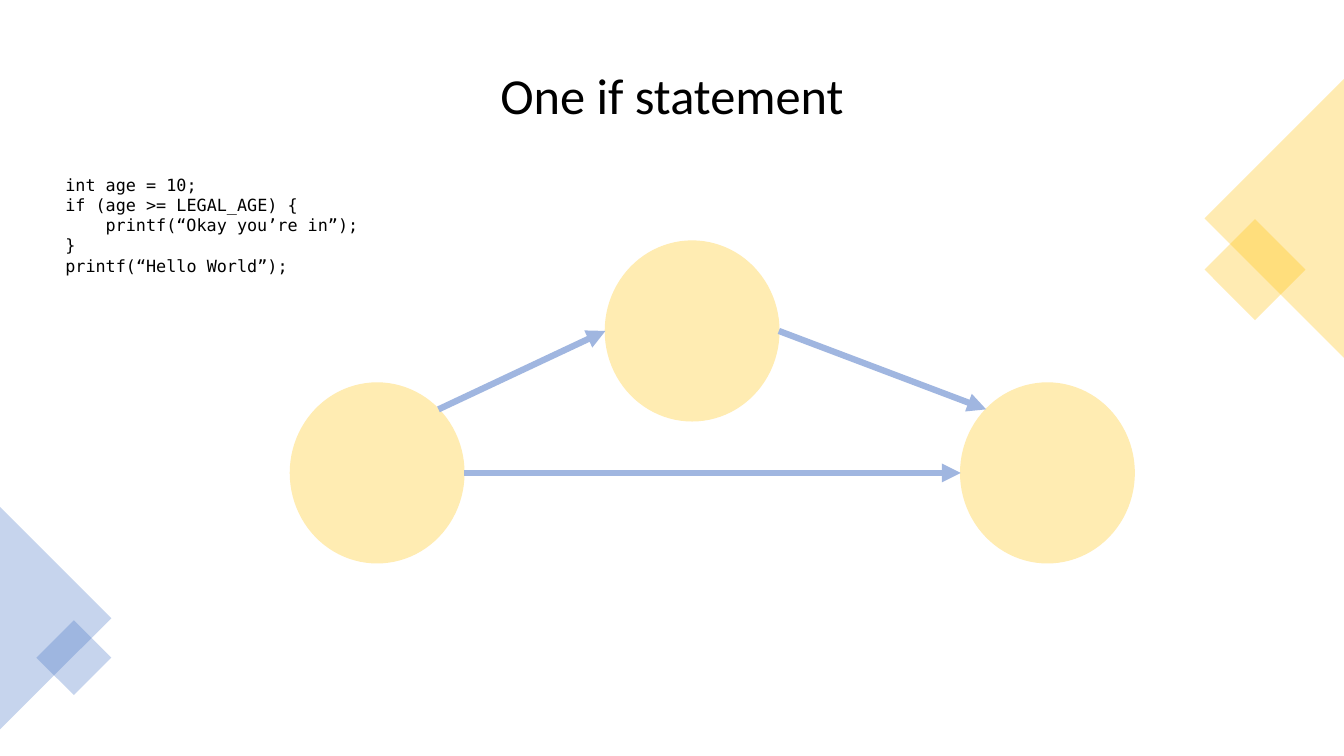
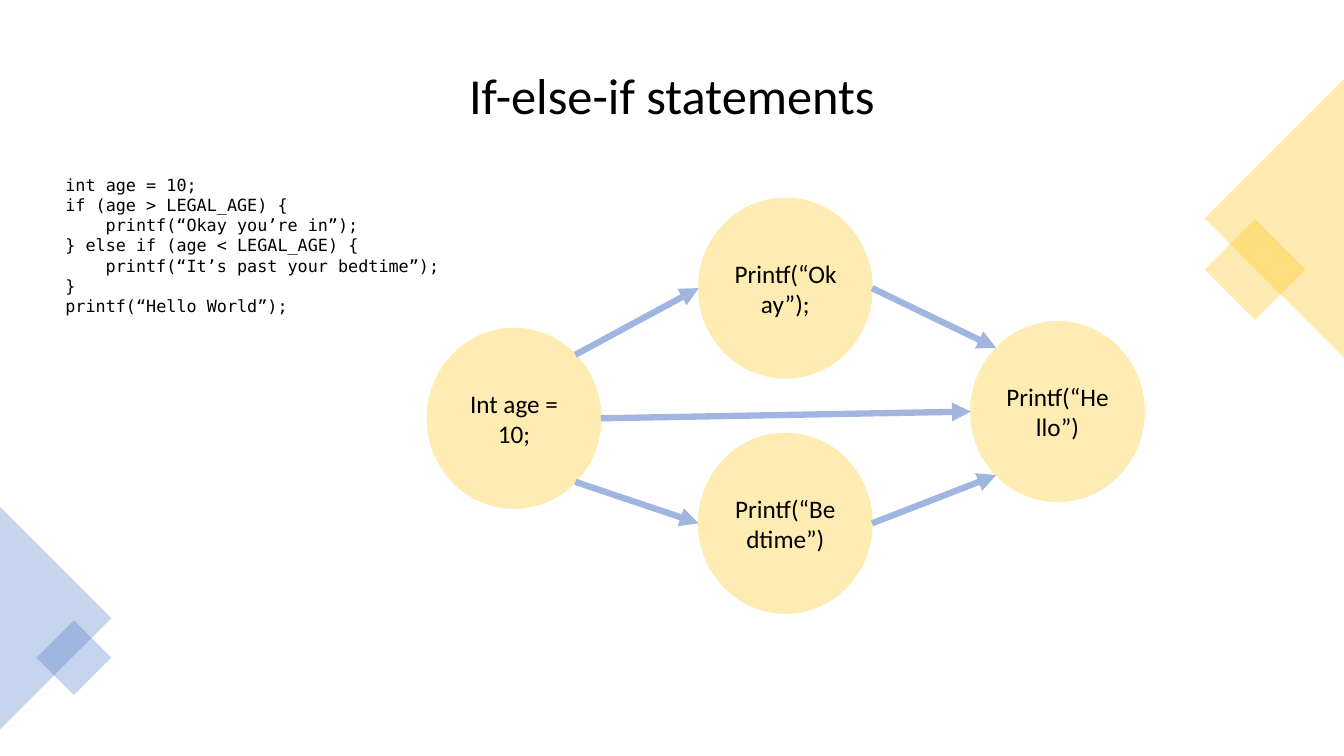
from dataclasses import dataclass
from enum import Enum
from math import cos, radians, sin, sqrt

from lxml.etree import SubElement as Sub
from pptx import Presentation
from pptx.dml.color import RGBColor as Rgb
from pptx.enum.shapes import MSO_CONNECTOR as Link, MSO_SHAPE as Form
from pptx.enum.text import MSO_ANCHOR as Anchor, MSO_AUTO_SIZE as Fit, PP_ALIGN as Align
from pptx.oxml.ns import qn
from pptx.shapes.autoshape import Shape
from pptx.slide import Slide
from pptx.text.text import _Paragraph as Para
from pptx.util import Inches, Pt

COLS, ROWS = 160, 90
WIDE, HIGH = Inches(13.33), Inches(7.5)


def col(n: float) -> int:
    return round(WIDE * n / COLS)


def row(n: float) -> int:
    return round(HIGH * n / ROWS)


@dataclass(frozen=True)
class Theme:
    ink: Rgb = Rgb(0, 0, 0)
    gold: Rgb = Rgb(0xFF, 0xC0, 0x00)
    blue: Rgb = Rgb(0x44, 0x72, 0xC4)
    node: Rgb = Rgb(0xFF, 0xEC, 0xB2)
    edge: Rgb = Rgb(0xA0, 0xB6, 0xE0)
    alpha: int = 30
    sans: str = "Calibri"
    mono: str = "DejaVu Sans Mono"
    head: float = 36
    text: float = 18
    code: float = 12
    rim: float = 1
    bar: float = 4.5
    tab: float = 0.4


class Site(Enum):
    EAST = 0
    SOUTH_EAST = 45
    SOUTH_WEST = 135
    WEST = 180
    NORTH_WEST = 225
    NORTH_EAST = 315


@dataclass(frozen=True)
class Node:
    x: float
    y: float
    text: str = ""
    wide: float = 20.65
    high: float = 21.4

    def point(self, site: Site) -> tuple[int, int]:
        turn = radians(site.value)
        return (col(self.x + self.wide / 2 * cos(turn)),
                row(self.y + self.high / 2 * sin(turn)))


@dataclass(frozen=True)
class Edge:
    start: str
    leave: Site
    end: str
    enter: Site


@dataclass(frozen=True)
class Corner:
    right: bool
    color: Rgb
    mid: float
    span: float
    size: float
    low: float


@dataclass(frozen=True)
class Page:
    title: str
    code: tuple[str, ...]
    wide: float
    nodes: dict[str, Node]
    edges: tuple[Edge, ...]


THEME = Theme()
CORNERS = (
    Corner(True, THEME.gold, 26, 33.2, 8.5, 32.1),
    Corner(False, THEME.blue, 73.6, 26.5, 6.3, 78.3),
)
PAGES = (
    Page(
        "One if statement",
        ("int age = 10;",
         "if (age >= LEGAL_AGE) {",
         "\tprintf(“Okay you’re in”);",
         "}",
         "printf(“Hello World”);"),
        50.8,
        {"age": Node(44.9, 56.3),
         "okay": Node(82.4, 39.4),
         "hello": Node(124.7, 56.3)},
        (Edge("age", Site.NORTH_EAST, "okay", Site.WEST),
         Edge("age", Site.EAST, "hello", Site.WEST),
         Edge("okay", Site.EAST, "hello", Site.NORTH_WEST)),
    ),
    Page(
        "If-else-if statements",
        ("int age = 10;",
         "if (age > LEGAL_AGE) {",
         "\tprintf(“Okay you’re in”);",
         "} else if (age < LEGAL_AGE) {",
         "\tprintf(“It’s past your bedtime”);",
         "}",
         "printf(“Hello World”);"),
        66.7,
        {"age": Node(61.2, 49.8, "Int age = 10;"),
         "okay": Node(93.5, 34.3, "Printf(“Okay”);"),
         "hello": Node(125.9, 49, "Printf(“Hello”)"),
         "bed": Node(93.5, 62.3, "Printf(“Bedtime”)")},
        (Edge("age", Site.NORTH_EAST, "okay", Site.WEST),
         Edge("okay", Site.EAST, "hello", Site.NORTH_WEST),
         Edge("age", Site.SOUTH_EAST, "bed", Site.WEST),
         Edge("bed", Site.EAST, "hello", Site.SOUTH_WEST),
         Edge("age", Site.EAST, "hello", Site.WEST)),
    ),
)


def style(para: Para, face: str, size: float) -> None:
    para.font.name = face
    para.font.size = Pt(size)
    para.font.color.rgb = THEME.ink


def add_form(slide: Slide, form: Form, x: float, y: float,
             wide: float, high: float, color: Rgb) -> Shape:
    shape = slide.shapes.add_shape(
        form, col(x - wide / 2), row(y - high / 2), col(wide), row(high))
    shape.shadow.inherit = False
    shape.fill.solid()
    shape.fill.fore_color.rgb = color
    return shape


def add_title(slide: Slide, text: str) -> None:
    title = slide.shapes.title
    title.left, title.top = col(8.4), row(4.2)
    title.width, title.height = col(143.2), row(14.9)
    frame = title.text_frame
    frame.text = text
    frame.auto_size = Fit.NONE
    frame.vertical_anchor = Anchor.MIDDLE
    para = frame.paragraphs[0]
    para.alignment = Align.CENTER
    para.line_spacing = 0.9
    style(para, THEME.sans, THEME.head)


def add_corner(slide: Slide, part: Corner) -> None:
    deep = part.span / 2
    inset = deep - part.size / sqrt(2)

    def place(gap: float) -> float:
        return COLS - gap if part.right else gap

    wedge = add_form(slide, Form.ISOSCELES_TRIANGLE, place(deep / 2), part.mid,
                     part.span, deep, part.color)
    wedge.rotation = 270 if part.right else 90
    gem = add_form(slide, Form.RECTANGLE, place(inset), part.low,
                   part.size, part.size, part.color)
    gem.rotation = 45
    for shape in (wedge, gem):
        shape.line.fill.background()
        tint = shape.element.spPr.find(qn("a:solidFill")).find(qn("a:srgbClr"))
        Sub(tint, qn("a:alpha"), val=str(THEME.alpha * 1000))


def add_code(slide: Slide, lines: tuple[str, ...], wide: float) -> None:
    box = slide.shapes.add_textbox(
        col(6.6), row(20.2), col(wide), row(1.2 + 2.42 * len(lines)))
    frame = box.text_frame
    frame.word_wrap = True
    frame.auto_size = Fit.SHAPE_TO_FIT_TEXT
    for i, line in enumerate(lines):
        para = frame.add_paragraph() if i else frame.paragraphs[0]
        para.text = line.lstrip("\t")
        style(para, THEME.mono, THEME.code)
        if line.startswith("\t"):
            para._p.get_or_add_pPr().set("marL", str(Inches(THEME.tab)))


def add_node(slide: Slide, node: Node) -> None:
    shape = add_form(slide, Form.OVAL, node.x, node.y,
                     node.wide, node.high, THEME.node)
    shape.line.color.rgb = THEME.node
    shape.line.width = Pt(THEME.rim)
    if node.text:
        frame = shape.text_frame
        frame.text = node.text
        frame.word_wrap = True
        frame.vertical_anchor = Anchor.MIDDLE
        para = frame.paragraphs[0]
        para.alignment = Align.CENTER
        style(para, THEME.sans, THEME.text)


def add_edge(slide: Slide, edge: Edge, nodes: dict[str, Node]) -> None:
    start = nodes[edge.start].point(edge.leave)
    end = nodes[edge.end].point(edge.enter)
    arrow = slide.shapes.add_connector(Link.STRAIGHT, *start, *end)
    arrow.line.color.rgb = THEME.edge
    arrow.line.width = Pt(THEME.bar)
    props = arrow.element.spPr
    Sub(props.find(qn("a:ln")), qn("a:tailEnd"), type="triangle")
    Sub(props, qn("a:effectLst"))


def main() -> None:
    deck = Presentation()
    deck.slide_width, deck.slide_height = WIDE, HIGH
    plain = deck.slide_layouts.get_by_name("Title Only")
    for page in PAGES:
        slide = deck.slides.add_slide(plain)
        add_title(slide, page.title)
        for part in CORNERS:
            add_corner(slide, part)
        add_code(slide, page.code, page.wide)
        for node in page.nodes.values():
            add_node(slide, node)
        for edge in page.edges:
            add_edge(slide, edge, page.nodes)
    deck.save("out.pptx")


if __name__ == "__main__":
    main()
